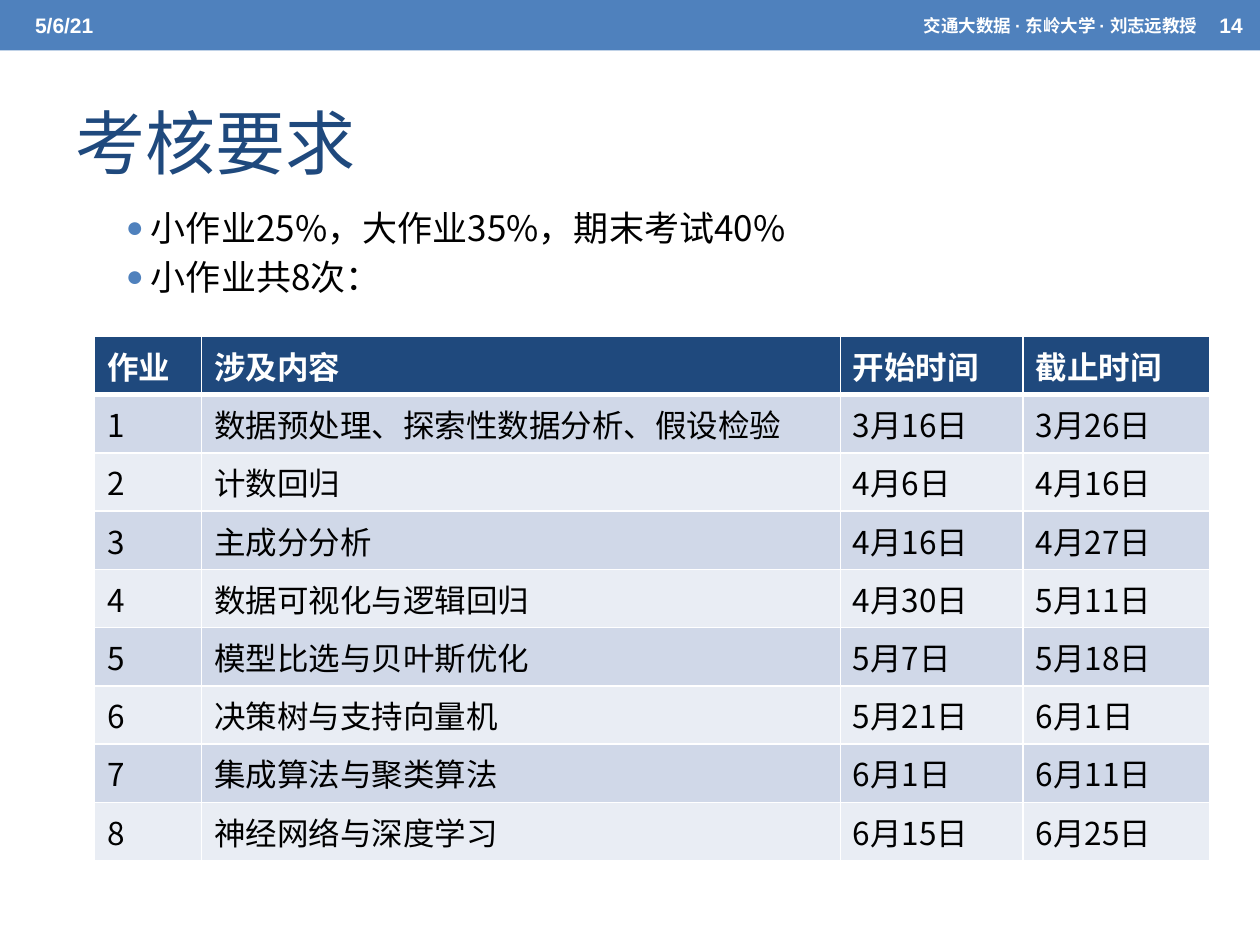
import dataclasses

import pptx
import pptx.dml.color
import pptx.enum.shapes
import pptx.enum.text
import pptx.oxml.ns
import pptx.util
from lxml import etree

Inches = pptx.util.Inches
Pt = pptx.util.Pt
Align = pptx.enum.text.PP_ALIGN
Anchor = pptx.enum.text.MSO_ANCHOR


@dataclasses.dataclass(frozen=True)
class Theme:
    accent: str = "4F81BD"
    dark: str = "1F497D"
    white: str = "FFFFFF"
    black: str = "000000"
    bands: tuple = ("D0D8E8", "E9EDF4")
    latin: str = "Arial"
    chinese: str = "Noto Sans CJK SC"
    title_size: int = 40
    body_size: int = 20
    table_size: int = 18
    header_size: int = 12
    footer_size: int = 10


THEME = Theme()
HEADINGS = ("作业", "涉及内容", "开始时间", "截止时间")
ASSIGNMENTS = (
    ("数据预处理、探索性数据分析、假设检验", "3月16日", "3月26日"),
    ("计数回归", "4月6日", "4月16日"),
    ("主成分分析", "4月16日", "4月27日"),
    ("数据可视化与逻辑回归", "4月30日", "5月11日"),
    ("模型比选与贝叶斯优化", "5月7日", "5月18日"),
    ("决策树与支持向量机", "5月21日", "6月1日"),
    ("集成算法与聚类算法", "6月1日", "6月11日"),
    ("神经网络与深度学习", "6月15日", "6月25日"),
)
COLUMN_WIDTHS = (0.85, 5.07, 1.45, 1.48)


def rgb(value):
    return pptx.dml.color.RGBColor.from_string(value)


def add_xml(parent, tag, **attributes):
    return etree.SubElement(parent, pptx.oxml.ns.qn(tag), attributes)


def write(paragraph, text, size, color, bold=False, typeface=THEME.chinese):
    run = paragraph.add_run()
    run.text = text
    for name, value in {"size": Pt(size), "bold": bold, "name": typeface}.items():
        setattr(run.font, name, value)
    run.font.color.rgb = rgb(color)
    add_xml(run.font._element, "a:ea", typeface=THEME.chinese)


def add_text_frame(slide, box, anchor):
    frame = slide.shapes.add_textbox(*map(Inches, box)).text_frame
    for name, value in {"word_wrap": True, "vertical_anchor": anchor}.items():
        setattr(frame, name, value)
    return frame


def add_header(slide, box):
    left, top, width, height = box
    bar = slide.shapes.add_shape(
        pptx.enum.shapes.MSO_SHAPE.RECTANGLE, *map(Inches, box))
    bar.shadow.inherit = False
    bar.fill.solid()
    bar.fill.fore_color.rgb = rgb(THEME.accent)
    bar.line.fill.background()
    labels = (
        ("5/6/21", 0.18, 3.17, THEME.header_size, Align.LEFT),
        ("交通大数据 · 东岭大学 · 刘志远教授", 4.32, 5.28, THEME.footer_size, Align.RIGHT),
        ("14", width - 0.42, 0.42, THEME.header_size, Align.LEFT),
    )
    for text, offset, label_width, size, alignment in labels:
        label_box = (left + offset, top + 0.02, label_width, height - 0.04)
        paragraph = add_text_frame(slide, label_box, Anchor.MIDDLE).paragraphs[0]
        paragraph.alignment = alignment
        write(paragraph, text, size, THEME.white, True, THEME.latin)


def add_title(slide, box, text):
    frame = add_text_frame(slide, box, Anchor.MIDDLE)
    write(frame.paragraphs[0], text, THEME.title_size, THEME.dark)


def add_bullets(slide, box, lines):
    frame = add_text_frame(slide, box, Anchor.TOP)
    for index, line in enumerate(lines):
        paragraph = frame.add_paragraph() if index else frame.paragraphs[0]
        for name, value in {"space_before": Pt(4), "line_spacing": 1.0, "level": 1}.items():
            setattr(paragraph, name, value)
        properties = paragraph._p.get_or_add_pPr()
        properties.set("marL", str(Inches(0.5)))
        properties.set("indent", str(Inches(-0.2)))
        color = add_xml(properties, "a:buClr")
        add_xml(color, "a:srgbClr", val=THEME.accent)
        add_xml(properties, "a:buSzPct", val="85000")
        add_xml(properties, "a:buFont", typeface=THEME.latin)
        add_xml(properties, "a:buChar", char="●")
        write(paragraph, line, THEME.body_size, THEME.black)


def add_borders(cell, widths):
    properties = cell._tc.get_or_add_tcPr()
    for side, width in widths.items():
        line = add_xml(properties, f"a:ln{side}", w=str(Pt(width)))
        fill = add_xml(line, "a:solidFill")
        add_xml(fill, "a:srgbClr", val=THEME.white)


def add_schedule(slide, box):
    rows = [HEADINGS] + [
        (str(number), *row) for number, row in enumerate(ASSIGNMENTS, 1)]
    table = slide.shapes.add_table(
        len(rows), len(HEADINGS), *map(Inches, box)).table
    for column, width in zip(table.columns, COLUMN_WIDTHS):
        column.width = Inches(width)
    for row_index, row in enumerate(rows):
        heading = row_index == 0
        fill = THEME.dark if heading else THEME.bands[(row_index - 1) % 2]
        color = THEME.white if heading else THEME.black
        borders = {"L": 1, "R": 1, "T": 3 if row_index == 1 else 1, "B": 3 if heading else 1}
        for column_index, text in enumerate(row):
            cell = table.cell(row_index, column_index)
            add_borders(cell, borders)
            cell.fill.solid()
            cell.fill.fore_color.rgb = rgb(fill)
            write(cell.text_frame.paragraphs[0], text, THEME.table_size, color, heading)


def main():
    presentation = pptx.Presentation()
    presentation.slide_width = Inches(10)
    presentation.slide_height = Inches(7.5)
    slide = presentation.slides.add_slide(presentation.slide_layouts[6])
    add_header(slide, (0, 0, 10, 0.4))
    add_title(slide, (0.5, 0.58, 9, 1.08), "考核要求")
    add_bullets(slide, (0.6, 1.59, 9.4, 5.33),
                ("小作业25%，大作业35%，期末考试40%", "小作业共8次："))
    add_schedule(slide, (0.75, 2.67, sum(COLUMN_WIDTHS), 4.16))
    presentation.save("out.pptx")


if __name__ == "__main__":
    main()
